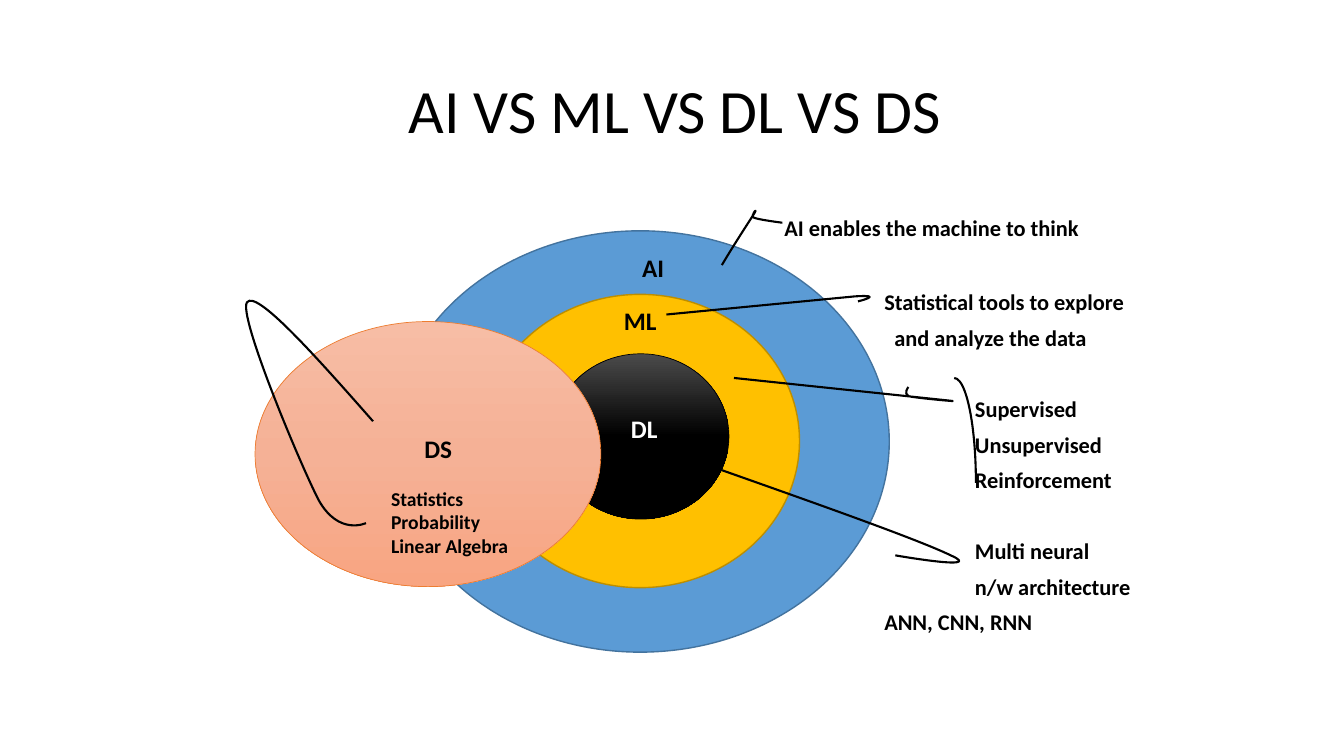
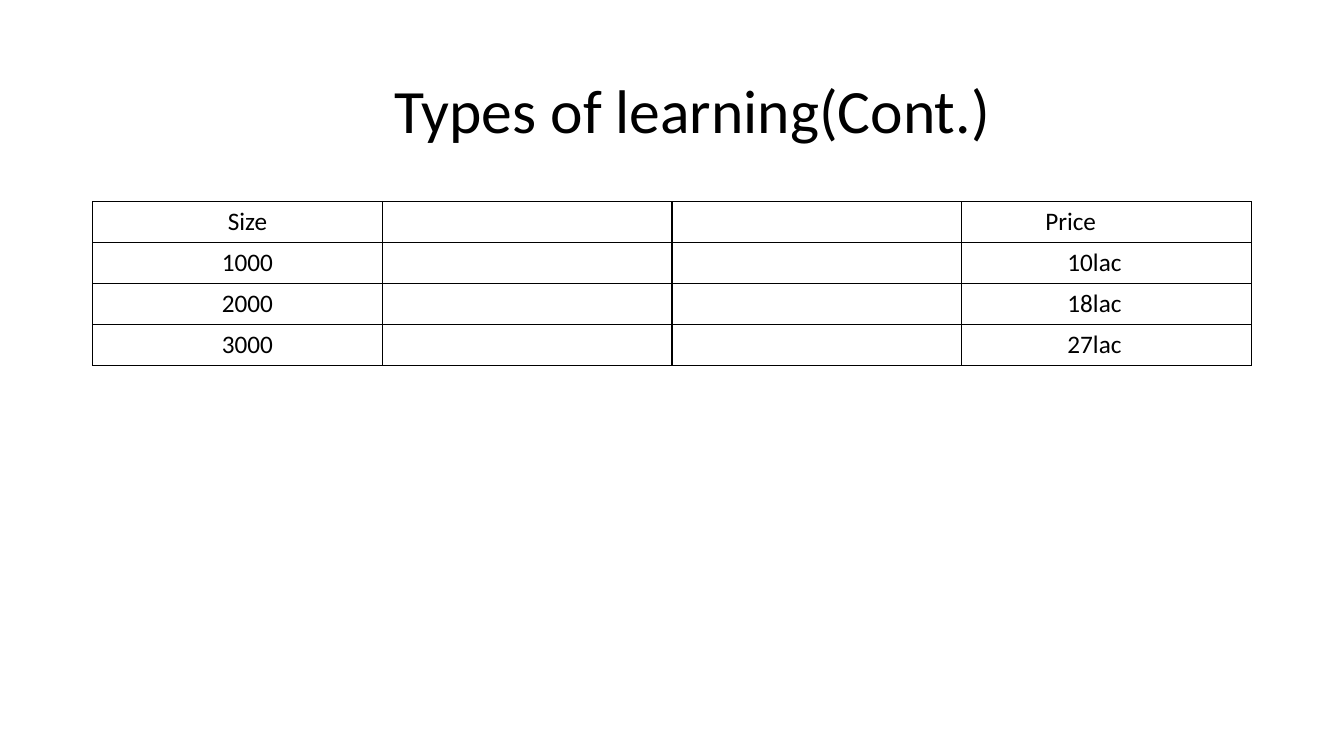
from copy import deepcopy
from lxml.etree import SubElement as Sub
from pptx import Presentation
from pptx.dml.color import RGBColor as Rgb
from pptx.enum.shapes import MSO_SHAPE as Kind
from pptx.enum.text import MSO_ANCHOR as Anchor, MSO_AUTO_SIZE as Auto, PP_ALIGN as Align
from pptx.oxml.ns import qn
from pptx.util import Pt

PX = 9144
FONT = "Calibri"
HEX = {
    "ink": "000000", "white": "FFFFFF", "smoke": "4B4B4B",
    "blue": "5B9BD5", "navy": "43739E", "gold": "FFC000", "ochre": "BD8E00",
    "peach": "F7BDA5", "salmon": "F5B196", "coral": "F8A582", "rust": "ED7D31",
}


def rgb(name):
    return Rgb.from_string(HEX[name])


def emu(*vals):
    return [v * PX for v in vals]


class Deck:
    """Holds the style and the current slide, and draws each kind of element."""

    def __init__(self):
        self.prs = Presentation()
        self.prs.slide_width, self.prs.slide_height = emu(1333, 750)

    def page(self, layout, title, indent):
        self.slide = self.prs.slides.add_slide(self.prs.slide_layouts[layout])
        head = self.slide.shapes.title
        self.place(head, 92, 40, 1150, 145)
        frame = head.text_frame
        frame.text = title
        frame.vertical_anchor = Anchor.MIDDLE
        self.style(frame.paragraphs[0], 44, align=Align.CENTER, pitch=0.9, indent=indent)

    def place(self, shape, *box):
        shape.left, shape.top, shape.width, shape.height = emu(*box)
        shape.text_frame.auto_size = Auto.NONE

    def style(self, para, size, color="ink", bold=False, align=Align.LEFT, pitch=1, indent=0):
        para.alignment = align
        para.line_spacing = pitch
        props = para._p.get_or_add_pPr()
        props.set("marL", str(indent * PX))
        props.set("indent", "0")
        for run in para.runs:
            font = run.font
            font.name, font.size, font.bold = FONT, Pt(size), bold
            font.color.rgb = rgb(color)

    def body(self, box, inset, rows):
        shape = self.slide.placeholders[1]
        self.place(shape, *box)
        frame = shape.text_frame
        frame.margin_top = inset * PX
        frame.text = "\n".join(text for text, _, _ in rows)
        for para, (_, indent, gap) in zip(frame.paragraphs, rows):
            self.style(para, 16, bold=True, pitch=0.8, indent=indent)
            para.space_before = Pt(gap)
            Sub(para._p.get_or_add_pPr(), qn("a:buNone"))

    def text(self, box, words, size=18, color="ink", indent=0):
        frame = self.slide.shapes.add_textbox(*emu(*box)).text_frame
        frame.word_wrap = True
        frame.text = words
        for para in frame.paragraphs:
            self.style(para, size, color, True, indent=indent)

    def line(self, shape, color="ink", width=1.5):
        shape.shadow.inherit = False
        shape.line.color.rgb = rgb(color)
        shape.line.width = Pt(width)

    def oval(self, box, tones, edge, width):
        shape = self.slide.shapes.add_shape(Kind.OVAL, *emu(*box))
        self.line(shape, edge, width)
        fill = shape.fill
        if len(tones) == 1:
            fill.solid()
            fill.fore_color.rgb = rgb(tones[0])
            return
        fill.gradient()
        fill.gradient_angle = 270
        stops = shape._element.spPr.find(".//" + qn("a:gsLst"))
        stops.insert(1, deepcopy(stops[0]))
        for n, (stop, tone) in enumerate(zip(fill.gradient_stops, tones)):
            stop.position = n / 2
            stop.color.rgb = rgb(tone)

    def arc(self, box):
        shape = self.slide.shapes.add_shape(Kind.ARC, *emu(*box))
        shape.fill.background()
        self.line(shape)

    def stroke(self, box, start, *legs):
        x, y, w, h = box
        build = self.slide.shapes.build_freeform(x, y, PX)
        build.add_line_segments([(x + w, y + h)], close=False)
        shape = build.convert_to_shape()
        trace = shape._element.spPr.find(".//" + qn("a:path"))
        for step in list(trace):
            trace.remove(step)
        for n, leg in enumerate((start, *legs)):
            tag = "cubicBezTo" if len(leg) == 6 else "lnTo" if n else "moveTo"
            step = Sub(trace, qn("a:" + tag))
            for px, py in zip(leg[::2], leg[1::2]):
                Sub(step, qn("a:pt"), x=str(px - x), y=str(py - y))
        shape.fill.background()
        self.line(shape)

    def table(self, box, rows, indents):
        grid = self.slide.shapes.add_table(len(rows), len(rows[0]), *emu(*box)).table
        grid.first_row = grid.horz_banding = False
        for r, row in enumerate(rows):
            for c, words in enumerate(row):
                cell = grid.cell(r, c)
                self.border(cell)
                cell.fill.background()
                if words:
                    cell.text = words
                    self.style(cell.text_frame.paragraphs[0], 18, indent=indents[r > 0][c])

    def border(self, cell):
        props = cell._tc.get_or_add_tcPr()
        for side in "LRTB":
            edge = Sub(props, qn("a:ln" + side), w=str(Pt(1)))
            Sub(Sub(edge, qn("a:solidFill")), qn("a:srgbClr"), val=HEX["ink"])


def fields(deck):
    deck.page(1, "AI VS ML VS DL VS DS", 5)
    deck.body((92, 200, 1150, 476), 18, [
        ("AI enables the machine to think", 676, 0),
        ("Statistical tools to explore", 775, 37.5),
        ("and analyze the data", 785, 10),
        ("Supervised", 865, 35.5),
        ("Unsupervised", 865, 10),
        ("Reinforcement", 865, 10),
        ("Multi neural", 865, 35.5),
        ("n/w architecture", 865, 10),
        ("ANN, CNN, RNN", 775, 10),
    ])
    deck.oval((388, 229, 494, 418), ["blue"], "navy", 1)
    deck.oval((477, 292, 316, 291), ["gold"], "ochre", 1)
    deck.oval((548, 351, 175, 164), ["smoke", "ink", "ink"], "ink", 0.5)
    deck.oval((253, 319, 343, 263), ["peach", "salmon", "coral"], "rust", 0.5)
    deck.stroke((716, 209, 60, 54), (716, 263), (729, 241, 743, 220, 748, 212),
                (753, 204, 743, 215, 748, 216), (752, 218, 776, 221, 776, 221))
    deck.text((610, 245, 97, 40), "AI", indent=17)
    deck.text((592, 298, 86, 40), "ML", indent=17)
    deck.text((610, 405, 78, 40), "DL", color="white", indent=6)
    deck.text((388, 425, 107, 40), "DS", indent=23)
    deck.stroke((661, 294, 201, 18), (661, 312), (848, 294), (879, 292, 851, 299, 851, 299))
    deck.stroke((728, 375, 217, 23), (728, 375), (937, 397), (966, 400, 907, 395, 901, 393),
                (896, 390, 901, 384, 901, 384))
    deck.stroke((675, 452, 277, 106), (675, 452), (791, 493, 908, 534, 943, 551),
                (979, 567, 888, 551, 888, 551))
    deck.arc((925, 375, 43, 208))
    deck.stroke((244, 298, 126, 223), (370, 418), (312, 352, 254, 287, 245, 300),
                (236, 313, 297, 459, 316, 496), (336, 532, 363, 519, 363, 519))
    deck.text((378, 478, 138, 81), "Statistics\nProbability\nLinear Algebra", 14)


def prices(deck):
    deck.page(5, "Types of learning(Cont.)", 40)
    deck.table((92, 200, 1149, 161), [
        ("Size", "", "", "Price"),
        ("1000", "", "", "10lac"),
        ("2000", "", "", "18lac"),
        ("3000", "", "", "27lac"),
    ], [(124, 0, 0, 73), (118, 0, 0, 95)])


def main():
    deck = Deck()
    fields(deck)
    prices(deck)
    deck.prs.save("out.pptx")


if __name__ == "__main__":
    main()
